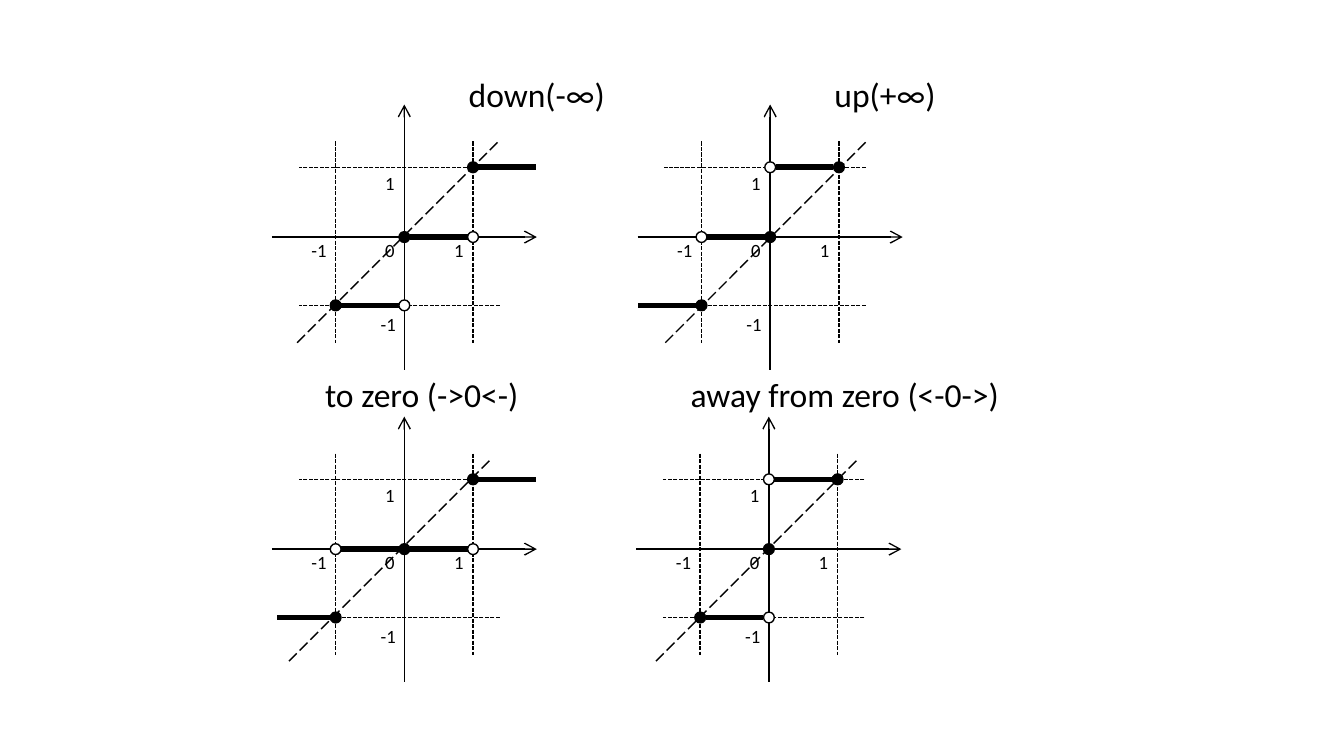
from dataclasses import dataclass

from lxml.etree import SubElement
from pptx import Presentation
from pptx.dml.color import RGBColor
from pptx.enum.dml import MSO_LINE
from pptx.enum.shapes import MSO_CONNECTOR, MSO_SHAPE
from pptx.enum.text import MSO_AUTO_SIZE
from pptx.oxml.ns import qn
from pptx.util import Pt

BLACK = "000000"
WHITE = "FFFFFF"
FONT = "Calibri"
UNIT = 36.8
LEVELS = {-1: 36.6, 0: 0, 1: -37.4}
RADIUS = 2.9
AXIS = 71
GUIDE_NEAR = 51.2
GUIDE_FAR = 56.6
DIAGONAL = 107.8
FRAME_FORMAT = {"word_wrap": False, "auto_size": MSO_AUTO_SIZE.SHAPE_TO_FIT_TEXT}


@dataclass(frozen=True)
class Label:
    text: str
    left: float
    top: float
    width: float
    height: float = 19.4
    size: float = 10


@dataclass(frozen=True)
class Step:
    start: float
    end: float
    level: int


@dataclass(frozen=True)
class Dot:
    x: int
    level: int
    fill: str = BLACK


@dataclass(frozen=True)
class Plot:
    x: float
    y: float
    title: Label
    steps: tuple[Step, ...]
    open_dots: tuple[tuple[int, int], ...]
    diagonal_start: tuple[float, float]


TICKS = (
    Label("0", -17.3, -2.5, 19.4),
    Label("1", 19.6, -2.5, 19.4),
    Label("-1", -56.9, -2.5, 23),
    Label("1", -17.3, -38.5, 19.4),
    Label("-1", -19.8, 37.1, 23),
)

PLOTS = (
    Plot(216.6, 127, Label("down(-∞)", 27.4, -91, 88.6, 28.8, 18),
         (Step(0, 1, 0), Step(-1, 0, -1), Step(1, 2, 1)),
         ((1, 0), (0, -1)), (-57.4, 56.6)),
    Plot(412.6, 127, Label("up(+∞)", 27.4, -91, 69.1, 28.8, 18),
         (Step(0, 1, 1), Step(-1, 0, 0), Step(-2, -1, -1)),
         ((0, 1), (-1, 0)), (-56.2, 56.6)),
    Plot(216.6, 294.2, Label("to zero (->0<-)", -49.5, -97.6, 119.5, 28.8, 18),
         (Step(0, 1, 0), Step(-1, 0, 0), Step(1, 2, 1), Step(-1.93, -1, -1)),
         ((1, 0), (-1, 0)), (-61.8, 60)),
    Plot(411.9, 294.2, Label("away from zero (<-0->)", -49, -97.6, 181.4, 28.8, 18),
         (Step(0, 1, 1), Step(-1, 0, -1)),
         ((0, 1), (0, -1)), (-60.5, 60)),
)


def color(value: str) -> RGBColor:
    return RGBColor.from_string(value)


def add_line(page, plot: Plot, x1: float, y1: float, x2: float, y2: float,
             width: float = 0.75, dash=None, arrow: bool = False) -> None:
    connector = page.shapes.add_connector(
        MSO_CONNECTOR.STRAIGHT,
        Pt(plot.x + x1), Pt(plot.y + y1), Pt(plot.x + x2), Pt(plot.y + y2))
    connector.line.color.rgb = color(BLACK)
    for name, value in {"width": Pt(width), "dash_style": dash}.items():
        setattr(connector.line, name, value)
    properties = connector._element.spPr
    if arrow:
        SubElement(properties.find(qn("a:ln")), qn("a:tailEnd"), type="arrow")
    SubElement(properties, qn("a:effectLst"))


def add_dot(page, plot: Plot, dot: Dot) -> None:
    circle = page.shapes.add_shape(
        MSO_SHAPE.OVAL,
        Pt(plot.x + dot.x * UNIT - RADIUS), Pt(plot.y + LEVELS[dot.level] - RADIUS),
        Pt(2 * RADIUS), Pt(2 * RADIUS))
    circle.shadow.inherit = False
    circle.fill.solid()
    circle.fill.fore_color.rgb = color(dot.fill)
    circle.line.color.rgb = color(BLACK)
    circle.line.width = Pt(0.75)


def add_label(page, plot: Plot, label: Label) -> None:
    box = page.shapes.add_textbox(
        Pt(plot.x + label.left), Pt(plot.y + label.top), Pt(label.width), Pt(label.height))
    for name, value in FRAME_FORMAT.items():
        setattr(box.text_frame, name, value)
    span = box.text_frame.paragraphs[0].add_run()
    span.text = label.text
    for name, value in {"name": FONT, "size": Pt(label.size)}.items():
        setattr(span.font, name, value)
    span.font.color.rgb = color(BLACK)


def draw_plot(page, plot: Plot) -> None:
    add_line(page, plot, -AXIS, 0, AXIS, 0, arrow=True)
    add_line(page, plot, 0, AXIS, 0, -AXIS, arrow=True)
    for side in (-1, 1):
        add_line(page, plot, side * UNIT, -GUIDE_NEAR, side * UNIT, GUIDE_FAR,
                 dash=MSO_LINE.SQUARE_DOT)
    for side in (1, -1):
        add_line(page, plot, GUIDE_NEAR, LEVELS[side], -GUIDE_FAR, LEVELS[side],
                 dash=MSO_LINE.SQUARE_DOT)
    for step in plot.steps:
        height = LEVELS[step.level]
        add_line(page, plot, step.start * UNIT + RADIUS, height,
                 step.end * UNIT - RADIUS, height, width=3)
    for position in (-1, 0, 1):
        add_dot(page, plot, Dot(position, position))
    for position, level in plot.open_dots:
        add_dot(page, plot, Dot(position, level, WHITE))
    for label in (*TICKS, plot.title):
        add_label(page, plot, label)
    left, bottom = plot.diagonal_start
    add_line(page, plot, left, bottom, left + DIAGONAL, bottom - DIAGONAL,
             dash=MSO_LINE.LONG_DASH)


deck = Presentation()
for name, value in {"slide_width": Pt(720), "slide_height": Pt(405)}.items():
    setattr(deck, name, value)
page = deck.slides.add_slide(deck.slide_layouts[6])
for plot in PLOTS:
    draw_plot(page, plot)
deck.save("out.pptx")
